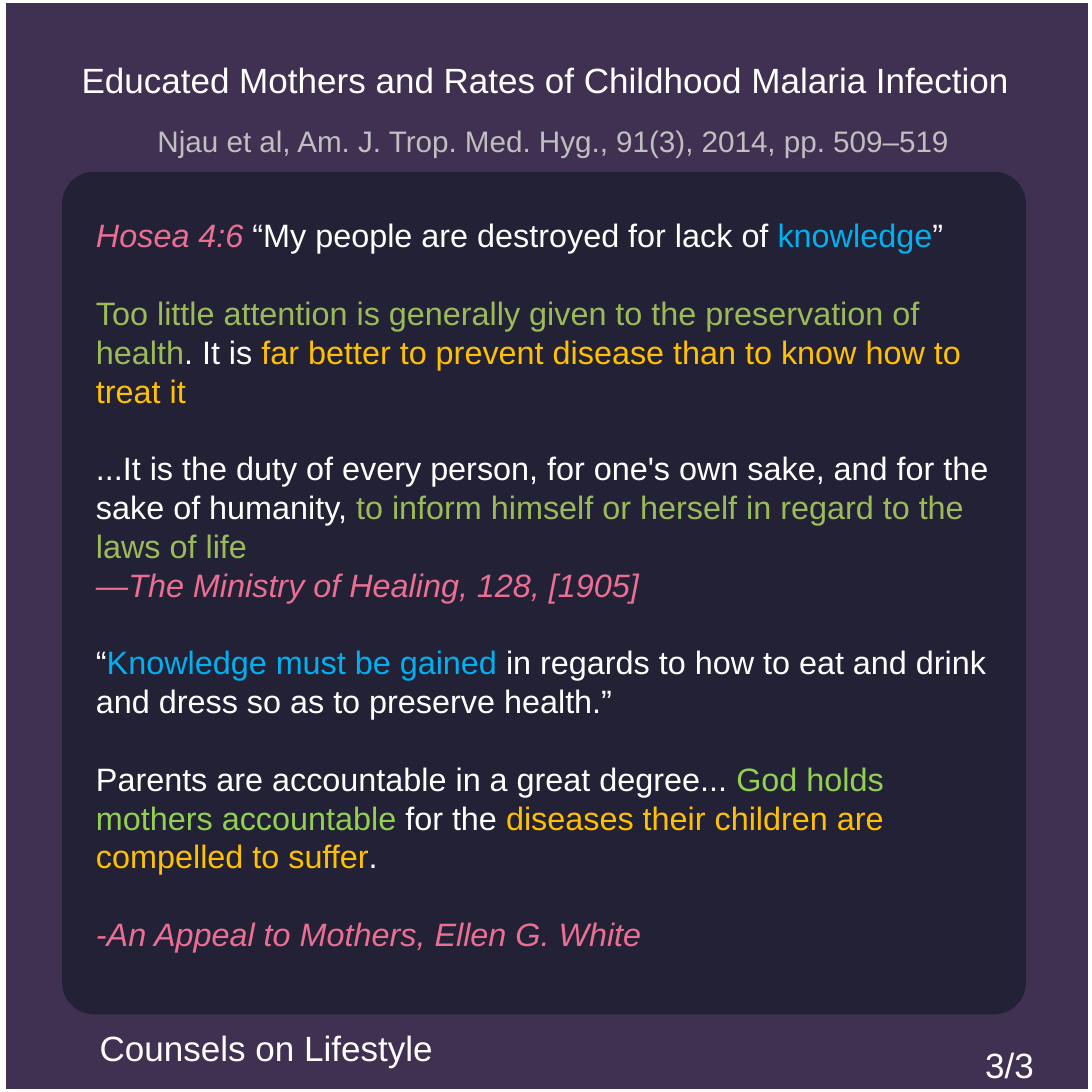
"""Build the closing slide of quotations on health knowledge."""
from pptx import Presentation
from pptx.dml.color import RGBColor
from pptx.enum import shapes, text
from pptx.util import Inches, Pt

PURPLE = RGBColor(0x40, 0x31, 0x52)
NAVY = RGBColor(0x23, 0x21, 0x36)
WHITE = RGBColor(0xFF, 0xFF, 0xFF)
GREY = RGBColor(0xBF, 0xBF, 0xBF)
ROSE = RGBColor(0xEB, 0x6F, 0x92)
BLUE = RGBColor(0x00, 0xB0, 0xF0)
OLIVE = RGBColor(0x9B, 0xBB, 0x59)
GREEN = RGBColor(0x92, 0xD0, 0x50)
AMBER = RGBColor(0xFF, 0xC0, 0x00)
LINE = Pt(28.8)


def add_label(s, words, left, top, width, size=26, color=WHITE):
    tf = s.shapes.add_textbox(Inches(left), Inches(top), Inches(width), Inches(0.86)).text_frame
    tf.word_wrap = True
    tf.margin_left = tf.margin_top = tf.margin_right = tf.margin_bottom = 0
    p = tf.paragraphs[0]
    p.text = words
    p.alignment = text.PP_ALIGN.CENTER
    p.line_spacing = Pt(61.6)
    p.font.name, p.font.size, p.font.color.rgb = "Arial", Pt(size), color


prs = Presentation()
prs.slide_width = prs.slide_height = Inches(11.25)
s = prs.slides.add_slide(prs.slide_layouts[6])
s.background.fill.solid()
s.background.fill.fore_color.rgb = PURPLE

panel = s.shapes.add_shape(shapes.MSO_SHAPE.ROUNDED_RECTANGLE,
                           Inches(0.64), Inches(1.77), Inches(9.93), Inches(8.68))
panel.adjustments[0] = 0.038
panel.shadow.inherit = False
panel.fill.solid()
panel.fill.fore_color.rgb = NAVY
panel.line.fill.background()

add_label(s, "3/3", 9.71, 10.33, 1.38)

quotes = [
    (False, [("Hosea 4:6 ", ROSE), ("“My people are destroyed for lack of ", WHITE),
             ("knowledge", BLUE), ("”", WHITE)]),
    (True, [("Too little attention is generally given to the preservation of health", OLIVE),
            (". It is ", WHITE),
            ("far better to prevent disease than to know how to treat it", AMBER)]),
    (True, [("...It is the duty of every person, for one's own sake, "
             "and for the sake of humanity, ", WHITE),
            ("to inform himself or herself in regard to the laws of life", OLIVE)]),
    (False, [("—The Ministry of Healing, 128, [1905]", ROSE)]),
    (True, [("“", WHITE), ("Knowledge must be gained", BLUE),
            (" in regards to how to eat and drink and dress so as to preserve health.”", WHITE)]),
    (True, [("Parents are accountable in a great degree... ", WHITE),
            ("God holds mothers accountable", GREEN), (" for the ", WHITE),
            ("diseases their children are compelled to suffer", AMBER), (".", WHITE)]),
    (True, [("-An Appeal to Mothers, Ellen G. White", ROSE)]),
]
tf = s.shapes.add_textbox(Inches(0.89), Inches(2.17), Inches(9.51), Inches(8.1)).text_frame
tf.word_wrap = True
for i, (gap, runs) in enumerate(quotes):
    p = tf.add_paragraph() if i else tf.paragraphs[0]
    p.line_spacing = LINE
    p.space_before = LINE if gap else Pt(0)
    p.font.name, p.font.size = "Arial", Pt(24)
    for words, color in runs:
        r = p.add_run()
        r.text = words
        r.font.color.rgb = color
        r.font.italic = color == ROSE

add_label(s, "Educated Mothers and Rates of Childhood Malaria Infection", -0.45, 0.18, 12.15)
add_label(s, "Njau et al, Am. J. Trop. Med. Hyg., 91(3), 2014, pp. 509–519",
          -0.09, 0.78, 11.58, 22, GREY)

frame = s.shapes.add_shape(shapes.MSO_SHAPE.RECTANGLE,
                           Inches(0.03), 0, Inches(11.21), Inches(11.25))
frame.shadow.inherit = False
frame.fill.background()
frame.line.color.rgb = WHITE
frame.line.width = Pt(4.5)

add_label(s, "Counsels on Lifestyle", 0.55, 10.15, 4.39)

prs.save("out.pptx")
